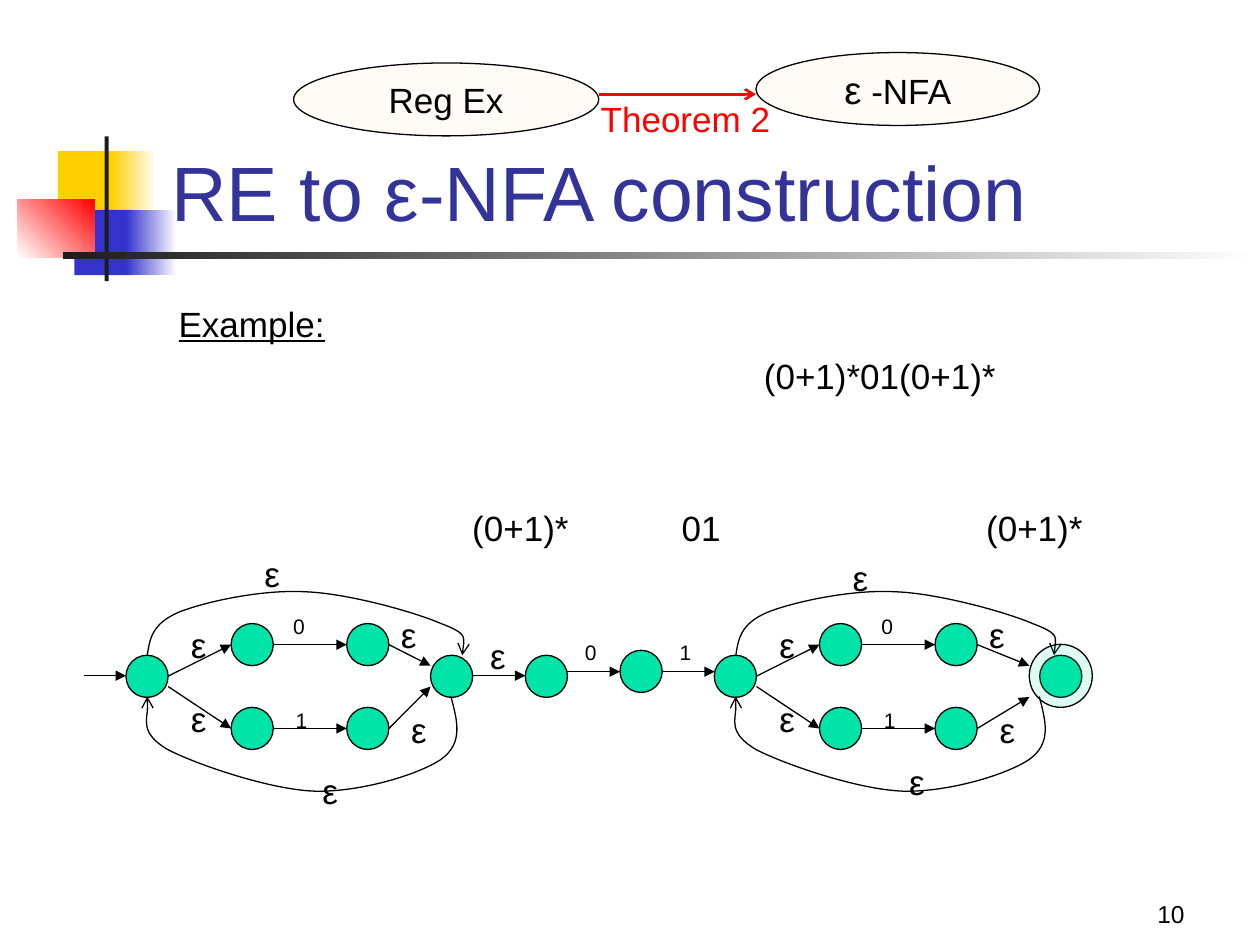
from lxml.etree import SubElement as Sub
from pptx import Presentation
from pptx.dml.color import RGBColor
from pptx.enum.shapes import MSO_CONNECTOR as Conn, MSO_SHAPE as Kind
from pptx.enum.text import MSO_ANCHOR as Anchor, PP_ALIGN as Align
from pptx.oxml.ns import qn
from pptx.util import Cm, Pt

BLACK, RED, BLUE, GOLD, GREEN = "000000", "FF0000", "3333CC", "FFCF01", "00E4A8"
WHITE, DARK, PEACH, NAVY = "FFFFFF", "1C1C1C", "FFCC99", "333399"
DIAM = 0.85  # width of a state
HALF = DIAM / 2


def tint(hue):
    return RGBColor.from_string(hue)


def place(*nums):
    return [Cm(n) for n in nums]


def shape(slide, kind, box, fill=None, line=None, alpha=None):
    item = slide.shapes.add_shape(kind, *place(*box))
    item.shadow.inherit = False
    if fill:
        item.fill.solid()
        item.fill.fore_color.rgb = tint(fill)
    if alpha:
        hue = item.fill._xPr.find(".//" + qn("a:srgbClr"))
        Sub(hue, qn("a:alpha")).set("val", str(alpha * 1000))
    if line:
        item.line.color.rgb = tint(line)
        item.line.width = Pt(0.75)
    else:
        item.line.fill.background()
    return item


def fade(slide, box, first, last, angle=0):
    item = shape(slide, Kind.RECTANGLE, box)
    item.fill.gradient()
    item.fill.gradient_angle = angle
    for stop, hue in zip(item.fill.gradient_stops, (first, last)):
        stop.color.rgb = tint(hue)


def write(frame, text, size, hue=BLACK, align=Align.LEFT, anchor=Anchor.TOP, wrap=False):
    frame.word_wrap = wrap
    frame.vertical_anchor = anchor
    para = frame.paragraphs[0]
    para.alignment = align
    para.text = text
    para.font.name, para.font.size = "Arial", Pt(size)
    para.font.color.rgb = tint(hue)
    return para


def label(slide, box, text, size=20, **style):
    item = slide.shapes.add_textbox(*place(*box))
    return write(item.text_frame, text, size, **style)


def style_line(item, hue, width, tip):
    item.line.color.rgb = tint(hue)
    item.line.width = Pt(width)
    Sub(item.line._get_or_add_ln(), qn("a:tailEnd")).set("type", tip)


def arrow(slide, start, end, hue=BLACK, width=0.75, tip="triangle"):
    item = slide.shapes.add_connector(Conn.STRAIGHT, *place(*start, *end))
    style_line(item, hue, width, tip)
    Sub(item._element.spPr, qn("a:effectLst"))


def curve(slide, points):
    """Draw a start point and Bezier triples as one open curve."""
    first, *rest = [place(*p) for p in points]
    pen = slide.shapes.build_freeform(*first)
    pen.add_line_segments(rest, close=False)
    item = pen.convert_to_shape()
    item.shadow.inherit = False
    item.fill.background()
    style_line(item, BLACK, 0.75, "arrow")
    # Join every three line points into one cubic segment
    steps = item._element.findall(".//" + qn("a:lnTo"))
    for n in range(0, len(steps), 3):
        bend = Sub(steps[n].getparent(), qn("a:cubicBezTo"))
        for step in steps[n:n + 3]:
            bend.append(step[0])
            step.getparent().remove(step)


def state(slide, x, y):
    shape(slide, Kind.OVAL, (x, y, DIAM, DIAM), GREEN, BLACK)


def epsilon(slide, x, y):
    label(slide, (x, y, 0.81, 1.09), "ε")


def digit(slide, x, y, text):
    label(slide, (x, y, 0.74, 0.76), text, 12)


def decor(slide, x, y):
    """Coloured squares and the rule beside the title."""
    shape(slide, Kind.RECTANGLE, (x + 0.81, y + 0.3, 1.22, 1.32), GOLD)
    fade(slide, (x + 1.88, y + 0.3, 0.91, 1.32), GOLD, WHITE)
    shape(slide, Kind.RECTANGLE, (x + 1.14, y + 1.48, 1.17, 1.32), BLUE)
    fade(slide, (x + 2.18, y + 1.48, 1.02, 1.32), BLUE, WHITE)
    fade(slide, (x, y + 1.27, 1.55, 1.17), WHITE, RED, 45)
    shape(slide, Kind.RECTANGLE, (x + 1.75, y, 0.08, 2.92), DARK)
    fade(slide, (x + 0.91, y + 2.34, 24.13, 0.13), DARK, WHITE)


def theorem(slide, x, y):
    """Two ovals joined by the red arrow."""
    mid = {"align": Align.CENTER, "anchor": Anchor.MIDDLE}
    nfa = shape(slide, Kind.OVAL, (x + 9.32, y, 5.72, 1.47), PEACH, BLACK, 8)
    para = write(nfa.text_frame, "ε", 20, **mid)
    para.runs[0].font.size = Pt(22)
    para.add_run().text = " -NFA"
    regex = shape(slide, Kind.OVAL, (x, y + 0.21, 6.15, 1.47), PEACH, BLACK, 8)
    write(regex.text_frame, "Reg Ex", 20, **mid)
    arrow(slide, (x + 6.15, y + 0.84), (x + 9.32, y + 0.84), RED, 1.5, "arrow")
    label(slide, (x + 5.94, y + 0.79, 3.94, 1.09), "Theorem 2", hue=RED)


def example(slide, x, y):
    """The expression and its three parts."""
    label(slide, (x, y, 3.45, 1.09), "Example:").font.underline = True
    label(slide, (x + 11.8, y + 1.05, 7, 1.09), "(0+1)*01(0+1)*", wrap=True)
    for dx, text in ((5.92, "(0+1)*"), (10.14, "01"), (16.28, "(0+1)*")):
        label(slide, (x + dx, y + 4.12, 3.2, 1.09), text, wrap=True)


def loop(slide, x, y, final=False):
    """The automaton for (0+1)*; x, y is the corner of its upper row."""
    def at(points, scale=1):
        return [(x + dx * scale, y + dy) for dx, dy in points]

    end = 6.56 if final else 6.14
    tip = 6.35 if final else end
    for dx in (0, end):
        state(slide, x + dx, y + 0.64)
    # Upper and lower branch
    for text, row, dx, out, into in (("0", 0, 3.12, 1.06, 0.85),
                                     ("1", 1.69, 3.17, 1.27, 1.48 if final else 1.27)):
        mid = row + HALF
        for left in (2.12, 4.45):
            state(slide, x + left, y + row)
        for line in (((DIAM, out), (2.12, mid)), ((2.97, mid), (4.45, mid)),
                     ((5.3, mid), (tip, into))):
            arrow(slide, *at(line))
        digit(slide, x + dx, y + row + (-0.13 if row else -0.33), text)
    # Curves back and past
    curve(slide, at([(6.55, 1.47), (6.68, 1.96), (6.81, 2.41), (6.35, 2.74),
                     (5.89, 3.05), (4.72, 3.4), (3.81, 3.38), (2.9, 3.35),
                     (1.42, 2.84), (0.84, 2.54), (0.28, 2.21), (0.48, 1.65), (0.43, 1.47)]))
    curve(slide, at([(0.43, 0.64), (0.48, 0.3), (0.53, 0), (1.07, -0.23),
                     (1.57, -0.43), (2.72, -0.69), (3.61, -0.64), (4.47, -0.61),
                     (5.82, -0.23), (6.35, 0), (6.88, 0.2), (6.83, 0.41), (6.78, 0.64)],
                    1.01 if final else 1))
    spots = [(1.06, -0.13), (1.06, 1.37), (5.29, -0.33), (5.5, 1.58)]
    spots += [(2.54, -1.47), (3.68, 2.64)] if final else [(2.54, -1.55), (3.71, 2.82)]
    for spot in at(spots):
        epsilon(slide, *spot)
    if final:
        shape(slide, Kind.OVAL, (x + 6.35, y + 0.42, 1.27, 1.27), GREEN, BLACK, 13)


def bridge(slide, x, y):
    """The automaton for 01 between the two loops."""
    arrow(slide, (x, y + 1.05), (x + 1.06, y + 1.05))
    state(slide, x + 1.06, y + 0.64)
    epsilon(slide, x + 0.1, y + 0.1)
    state(slide, x + 2.97, y + 0.54)
    for n, text in enumerate("01"):
        left = x + 1.91 + n * 1.91
        arrow(slide, (left, y + 0.97), (left + 1.06, y + 0.97))
        digit(slide, left + 0.1, y + 0.2, text)


def main():
    deck = Presentation()
    deck.slide_width, deck.slide_height = place(25.4, 19.05)
    slide = deck.slides.add_slide(deck.slide_layouts[6])
    decor(slide, 0.36, 2.75)
    label(slide, (18.85, 17.58, 5.28, 1.27), "10", 14,
          align=Align.RIGHT, anchor=Anchor.BOTTOM, wrap=True)
    label(slide, (3.2, 1.73, 21.64, 3.17), "RE to ε-NFA construction", 44,
          hue=NAVY, anchor=Anchor.BOTTOM, wrap=True)
    theorem(slide, 5.92, 1.06)
    example(slide, 3.35, 5.97)
    # Whole automaton
    top = 12.57
    arrow(slide, (1.7, top + 1.05), (2.54, top + 1.05))
    loop(slide, 2.54, top)
    bridge(slide, 9.53, top)
    loop(slide, 14.4, top, final=True)
    deck.save("out.pptx")


if __name__ == "__main__":
    main()
